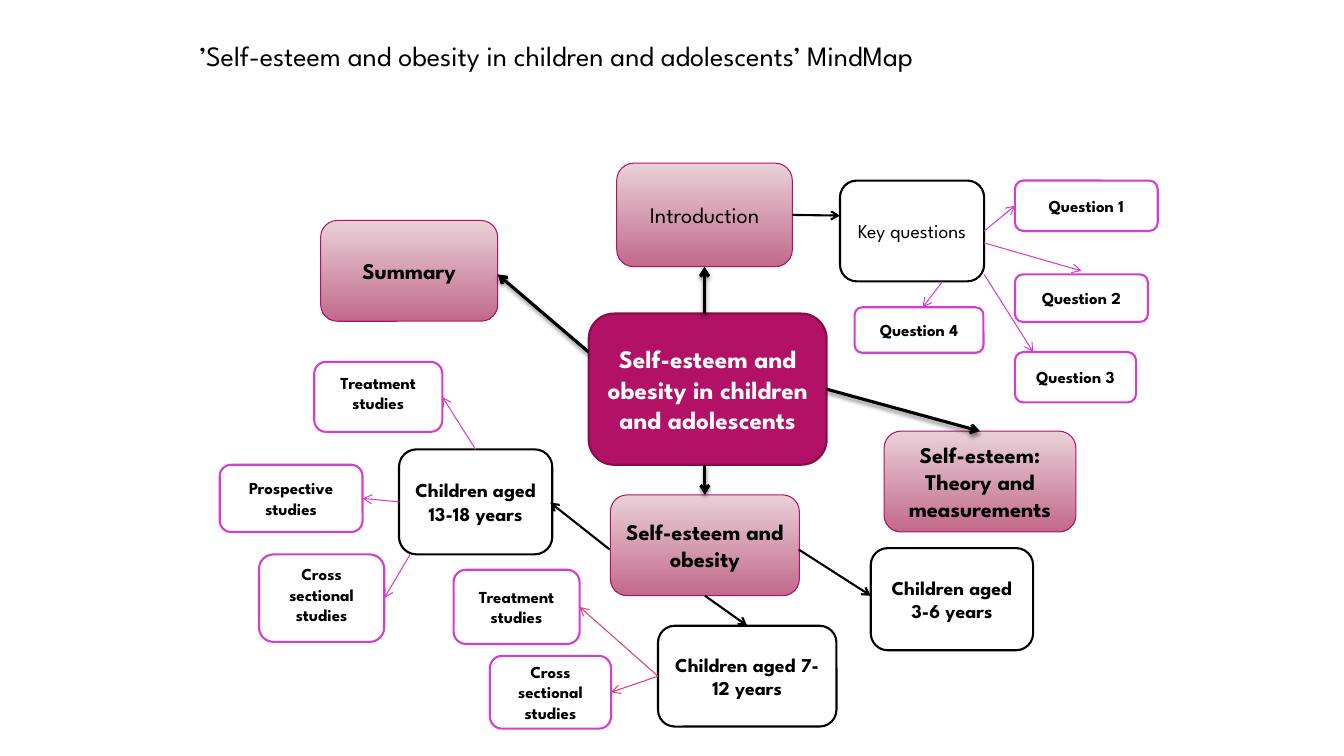
from dataclasses import dataclass

import lxml.etree
import pptx
import pptx.dml.color
import pptx.enum.shapes
import pptx.enum.text
import pptx.oxml.ns
import pptx.util

Pt = pptx.util.Pt
TOP, LEFT, BOTTOM, RIGHT = range(4)


@dataclass(frozen=True)
class Theme:
    font: str = "League Spartan"
    title_size: int = 20
    black: str = "000000"
    white: str = "FFFFFF"
    magenta: str = "B31166"
    dark_magenta: str = "840D4B"
    orchid: str = "D53DD0"
    rose: str = "E33D6F"
    gradient: tuple = ("E9D1D8", "C2698B")


THEME = Theme()

# level: (fills, line colour, line width, text colour, text size)
NODE_STYLES = {
    "centre": ((THEME.magenta,), THEME.dark_magenta, 1.5, THEME.white, 18),
    "topic": (THEME.gradient, THEME.magenta, 0.75, THEME.black, 16),
    "group": ((THEME.white,), THEME.black, 1.5, THEME.black, 14),
    "leaf": ((THEME.white,), THEME.orchid, 1.5, THEME.black, 12),
}

# level: (colour, width, has shadow)
ARROW_STYLES = {
    "main": (THEME.black, 2.25, True),
    "branch": (THEME.black, 1.5, False),
    "leaf": (THEME.orchid, 0.75, False),
    "rose leaf": (THEME.rose, 0.75, False),
}

TITLE = "’Self-esteem and obesity in children and adolescents’ MindMap"
TITLE_BOX = (135.5, 12, 690, 55.5)

# name: (level, text, (left, top, width, height))
NODES = {
    "centre": ("centre", "Self-esteem and obesity in children and adolescents",
               (420.5, 224, 170, 108)),
    "introduction": ("topic", "Introduction", (440.5, 116.5, 125.5, 74)),
    "key questions": ("group", "Key questions", (600, 129, 103, 72)),
    "question 1": ("leaf", "Question 1", (725, 129, 102, 36)),
    "question 2": ("leaf", "Question 2", (725, 196, 95, 34)),
    "question 3": ("leaf", "Question 3", (725, 251.5, 86.5, 36)),
    "question 4": ("leaf", "Question 4", (610.5, 219.5, 92, 32.5)),
    "theory": ("topic", "Self-esteem: Theory and measurements",
               (631.5, 308, 137, 72)),
    "obesity": ("topic", "Self-esteem and obesity", (436, 353.5, 135, 72)),
    "summary": ("topic", "Summary", (229, 157.5, 126.5, 72)),
    "aged 3-6": ("group", "Children aged 3-6 years", (622, 391.5, 116, 73)),
    "aged 7-12": ("group", "Children aged 7-12 years", (470, 447, 127.5, 72)),
    "aged 13-18": ("group", "Children aged 13-18 years", (285, 321, 109.5, 75)),
    "treatment 7-12": ("leaf", "Treatment studies", (324, 407, 90, 53)),
    "cross 7-12": ("leaf", "Cross sectional studies", (350, 468.5, 86.5, 52)),
    "treatment 13-18": ("leaf", "Treatment studies", (224.5, 258.5, 91.5, 50)),
    "prospective 13-18": ("leaf", "Prospective studies", (157, 332, 102, 48)),
    "cross 13-18": ("leaf", "Cross sectional studies", (185, 396, 89.5, 62.5)),
}
REGULAR_WEIGHT = {"introduction", "key questions"}
RAISED_TEXT = {"treatment 13-18", "cross 13-18"}

# (level, start, end); an end is a (node, side) pair or an (x, y) point
ARROWS = [
    ("main", (503.25, 224), ("introduction", BOTTOM)),
    ("main", ("centre", RIGHT), ("theory", TOP)),
    ("main", (503.5, 332), ("obesity", TOP)),
    ("main", (420.5, 251.5), (355.5, 196)),
    ("branch", ("introduction", RIGHT), (600, 154)),
    ("branch", (570.5, 392.5), (622, 425.5)),
    ("branch", ("obesity", BOTTOM), ("aged 7-12", TOP)),
    ("branch", (435.5, 392.5), (393, 359)),
    ("leaf", ("key questions", RIGHT), ("question 1", LEFT)),
    ("leaf", (703, 173.5), (772.5, 193.5)),
    ("leaf", (703, 196), (738, 251.5)),
    ("leaf", (673, 201.5), (659, 219.5)),
    ("rose leaf", ("aged 7-12", LEFT), ("treatment 7-12", RIGHT)),
    ("rose leaf", ("aged 7-12", LEFT), ("cross 7-12", RIGHT)),
    ("leaf", ("aged 13-18", TOP), ("treatment 13-18", RIGHT)),
    ("leaf", ("aged 13-18", LEFT), ("prospective 13-18", RIGHT)),
    ("leaf", (293, 396), ("cross 13-18", RIGHT)),
]


def rgb(value):
    return pptx.dml.color.RGBColor.from_string(value)


def add_child(parent, tag, **attributes):
    child = lxml.etree.SubElement(parent, pptx.oxml.ns.qn(tag))
    for name, value in attributes.items():
        child.set(name, str(value))
    return child


def write_text(shape, text, size, color, alignment, bold):
    frame = shape.text_frame
    frame.word_wrap = True
    frame.vertical_anchor = pptx.enum.text.MSO_ANCHOR.MIDDLE
    paragraph = frame.paragraphs[0]
    paragraph.alignment = alignment
    run = paragraph.add_run()
    run.text = text
    run.font.name = THEME.font
    run.font.size = Pt(size)
    run.font.bold = bold
    run.font.color.rgb = rgb(color)


def add_title(slide):
    title = slide.shapes.title
    title.left, title.top, title.width, title.height = map(Pt, TITLE_BOX)
    write_text(title, TITLE, THEME.title_size, THEME.black,
               pptx.enum.text.PP_ALIGN.LEFT, False)


def add_node(slide, name):
    level, text, box = NODES[name]
    fills, line_color, line_width, text_color, size = NODE_STYLES[level]
    shape = slide.shapes.add_shape(
        pptx.enum.shapes.MSO_SHAPE.ROUNDED_RECTANGLE, *map(Pt, box))
    shape.shadow.inherit = False
    if len(fills) == 1:
        shape.fill.solid()
        shape.fill.fore_color.rgb = rgb(fills[0])
    else:
        shape.fill.gradient()
        shape.fill.gradient_angle = 270
        for stop, color in zip(shape.fill.gradient_stops, fills):
            stop.color.rgb = rgb(color)
    shape.line.color.rgb = rgb(line_color)
    shape.line.width = Pt(line_width)
    write_text(shape, text, size, text_color,
               pptx.enum.text.PP_ALIGN.CENTER, name not in REGULAR_WEIGHT)
    if name in RAISED_TEXT:
        shape.text_frame.margin_bottom = Pt(9)
    return shape


def add_arrow(slide, nodes, level, start, end):
    """Draw an arrow, joining each end that names a node and a side."""
    color, width, has_shadow = ARROW_STYLES[level]
    start_joined, end_joined = start[0] in nodes, end[0] in nodes
    points = [(0, 0) if joined else place
              for joined, place in ((start_joined, start), (end_joined, end))]
    connector = slide.shapes.add_connector(
        pptx.enum.shapes.MSO_CONNECTOR.STRAIGHT,
        *(Pt(value) for point in points for value in point))
    if start_joined:
        connector.begin_connect(nodes[start[0]], start[1])
    if end_joined:
        connector.end_connect(nodes[end[0]], end[1])
    connector.line.color.rgb = rgb(color)
    connector.line.width = Pt(width)
    properties = connector.element.spPr
    add_child(properties.find(pptx.oxml.ns.qn("a:ln")), "a:tailEnd", type="arrow")
    effects = add_child(properties, "a:effectLst")
    if has_shadow:
        shadow = add_child(effects, "a:outerShdw", blurRad=Pt(3), dist=Pt(2),
                           dir=90 * 60000, rotWithShape=0)
        shadow_color = add_child(shadow, "a:srgbClr", val=THEME.black)
        add_child(shadow_color, "a:alpha", val=45000)


def main():
    presentation = pptx.Presentation()
    presentation.slide_width, presentation.slide_height = Pt(960), Pt(540)
    slide = presentation.slides.add_slide(presentation.slide_layouts[5])
    add_title(slide)
    nodes = {name: add_node(slide, name) for name in NODES}
    for level, start, end in ARROWS:
        add_arrow(slide, nodes, level, start, end)
    presentation.save("out.pptx")


if __name__ == "__main__":
    main()
